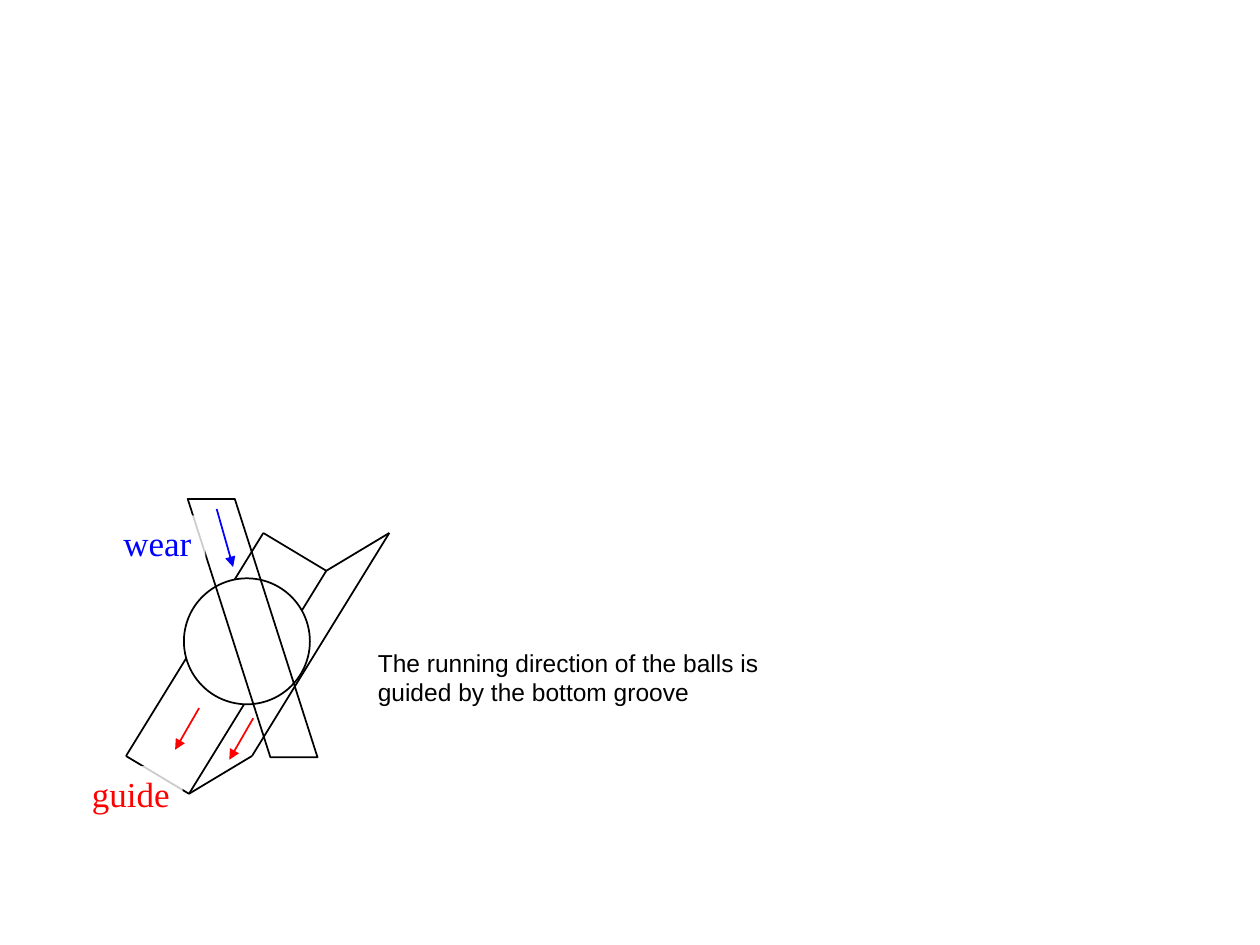
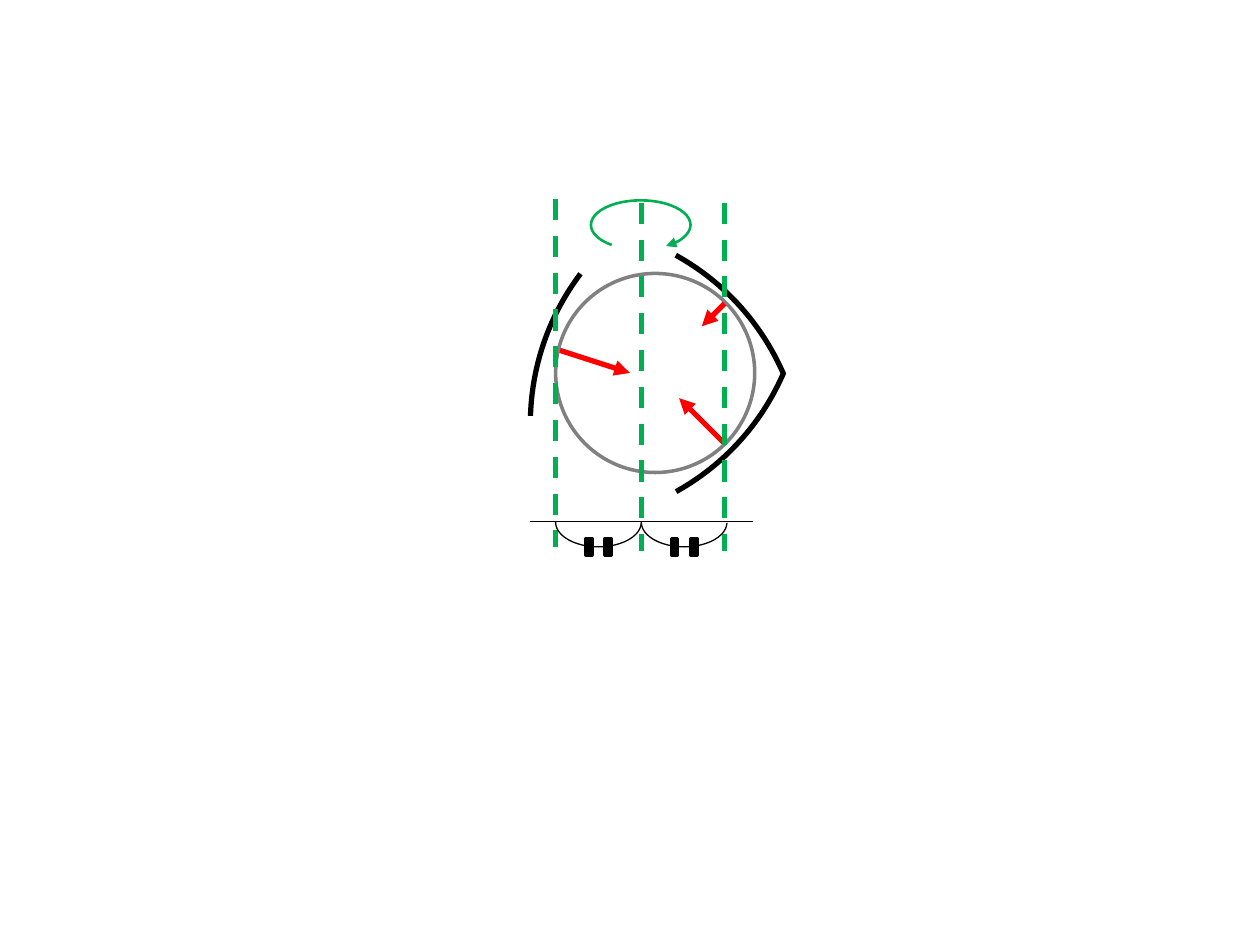
import dataclasses

import pptx
import pptx.util
import pptx.dml.color
import pptx.enum.dml
import pptx.enum.shapes
import pptx.enum.text
import pptx.oxml
import pptx.oxml.ns

Inches = pptx.util.Inches
Kind = pptx.enum.shapes.MSO_SHAPE


@dataclasses.dataclass(frozen=True)
class Theme:
    """Colours, fonts, type sizes and line widths of the deck."""
    black: str = "000000"
    white: str = "FFFFFF"
    gray: str = "808080"
    red: str = "FF0000"
    blue: str = "0000FF"
    green: str = "00B050"
    serif: str = "Times New Roman"
    sans: str = "Arial"
    label: int = 20
    note: int = 14
    hair: float = 0.75
    thin: float = 1
    curve: float = 1.5
    ring: float = 2
    bold: float = 3


THEME = Theme()


def rgb(code):
    """Turn a hex code into a colour."""
    return pptx.dml.color.RGBColor.from_string(code)


def element(tag, **attrs):
    """Make a drawing element with attributes."""
    node = pptx.oxml.parse_xml(f"<{tag} {pptx.oxml.ns.nsdecls('a')}/>")
    for key, value in attrs.items():
        node.set(key, value)
    return node


def stroke(item, color, width, arrow=False, dash=False):
    """Style an outline, with an arrowhead at its end if asked."""
    item.line.color.rgb = rgb(color)
    item.line.width = pptx.util.Pt(width)
    if dash:
        item.line.dash_style = pptx.enum.dml.MSO_LINE.DASH
    if arrow:
        item.line._get_or_add_ln().append(element("a:tailEnd", type="triangle"))


def line(shapes, start, end, color, width, **style):
    """Draw a straight line between two points."""
    points = [Inches(v) for v in (*start, *end)]
    item = shapes.add_connector(pptx.enum.shapes.MSO_CONNECTOR.STRAIGHT, *points)
    stroke(item, color, width, **style)
    item._element.spPr.append(element("a:effectLst"))


def shape(shapes, kind, box, color, width, fill=None, adjust=(), flip=None,
          turn=0, arrow=False):
    """Draw a preset shape, flipped along "H" or "V" or turned if asked."""
    item = shapes.add_shape(kind, *[Inches(v) for v in box])
    item.shadow.inherit = False
    if fill:
        item.fill.solid()
        item.fill.fore_color.rgb = rgb(fill)
    else:
        item.fill.background()
    for index, value in enumerate(adjust):
        item.adjustments[index] = value
    if flip:
        item._element.spPr.xfrm.set("flip" + flip, "1")
    item.rotation = turn
    stroke(item, color, width, arrow)


def text(shapes, box, words, font, size, color, wrap=False, veil=False):
    """Add a text box, on a sheer white ground if veiled."""
    item = shapes.add_textbox(*[Inches(v) for v in box])
    frame = item.text_frame
    frame.text = words
    frame.word_wrap = wrap
    frame.auto_size = pptx.enum.text.MSO_AUTO_SIZE.SHAPE_TO_FIT_TEXT
    face = frame.paragraphs[0].runs[0].font
    face.name, face.size = font, pptx.util.Pt(size)
    face.color.rgb = rgb(color)
    if veil:
        item.fill.solid()
        item.fill.fore_color.rgb = rgb(THEME.white)
        tint = item._element.spPr.find(".//" + pptx.oxml.ns.qn("a:srgbClr"))
        tint.append(element("a:alpha", val="80000"))


def groove(shapes):
    """Draw a ball that runs in a V groove under a tilted strip."""
    t = THEME
    for x, y in ((1.58, 5.62), (2.01, 5.7)):
        line(shapes, (x, y), (x - 0.19, y + 0.33), t.red, t.thin, arrow=True)
    near = [(1, 6), (1.5, 6.3), (2, 6)]
    far = [(x + 1.09, y - 1.77) for x, y in near]
    for edge in (near, far):
        for side in (edge[0], edge[2]):
            line(shapes, side, edge[1], t.black, t.thin)
    for back, front in zip(far, near):
        line(shapes, back, front, t.black, t.thin)
    shape(shapes, Kind.OVAL, (1.46, 4.59, 1, 1), t.black, t.thin, fill=t.white)
    shape(shapes, Kind.PARALLELOGRAM, (1.49, 3.96, 1.03, 2.05), t.black, t.thin,
          adjust=[0.637], flip="V")
    text(shapes, (0.63, 6.08, 0.82, 0.44), "guide", t.serif, t.label, t.red,
         veil=True)
    line(shapes, (1.72, 4.04), (1.85, 4.5), t.blue, t.thin, arrow=True)
    text(shapes, (0.88, 4.09, 0.75, 0.44), "wear", t.serif, t.label, t.blue,
         veil=True)
    text(shapes, (2.9, 5.09, 3.28, 0.57),
         "The running direction of the balls is guided by the bottom groove",
         t.sans, t.note, t.black, wrap=True)


def section(shapes):
    """Draw the ball held by three curved walls."""
    t = THEME
    size = 3.94
    walls = [(2.44, 1.78, None, (179.37, 202.08)),
             (2.44, 0.21, "V", (179.42, 202.08)),
             (4.21, 1.39, "H", (193.77, 214.96))]
    for x, y, flip, sweep in walls:
        shape(shapes, Kind.ARC, (x, y, size, size), t.black, t.bold,
              adjust=sweep, flip=flip)
    for start, end in (((4.41, 2.77), (5, 2.96)), ((5.75, 3.52), (5.39, 3.16))):
        line(shapes, start, end, t.red, t.bold, arrow=True)
    shape(shapes, Kind.OVAL, (4.41, 2.17, 1.58, 1.58), t.gray, t.ring)


def circuit(shapes):
    """Draw the axes, the base line and the two linked gaps."""
    t = THEME
    line(shapes, (5.75, 2.41), (5.57, 2.59), t.red, t.bold, arrow=True)
    for x, top in ((4.41, 1.58), (5.75, 1.61), (5.09, 1.61)):
        line(shapes, (x, top), (x, top + 2.76), t.green, t.bold, dash=True)
    line(shapes, (4.21, 4.14), (5.98, 4.14), t.black, t.hair)
    lefts = (4.41, 5.09)
    for x in lefts:
        shape(shapes, Kind.ARC, (x, 3.95, 0.68, 0.39), t.black, t.hair,
              adjust=(0.47, 108.74))
    for x in lefts:
        shape(shapes, Kind.MATH_EQUAL, (x + 0.25, 4.24, 0.18, 0.2), t.black,
              t.ring, fill=t.black, adjust=(0.235, 0.53), turn=90)
    shape(shapes, Kind.ARC, (4.89, 1.39, 0.39, 0.79), t.green, t.curve,
          adjust=(141.24, 77.97), turn=270, arrow=True)


def main():
    """Build both slides and save the deck."""
    deck = pptx.Presentation()
    deck.slide_width, deck.slide_height = Inches(10), Inches(7.5)
    blank = deck.slide_layouts[6]
    groove(deck.slides.add_slide(blank).shapes)
    shapes = deck.slides.add_slide(blank).shapes
    section(shapes.add_group_shape().shapes)
    circuit(shapes)
    deck.save("out.pptx")


main()
